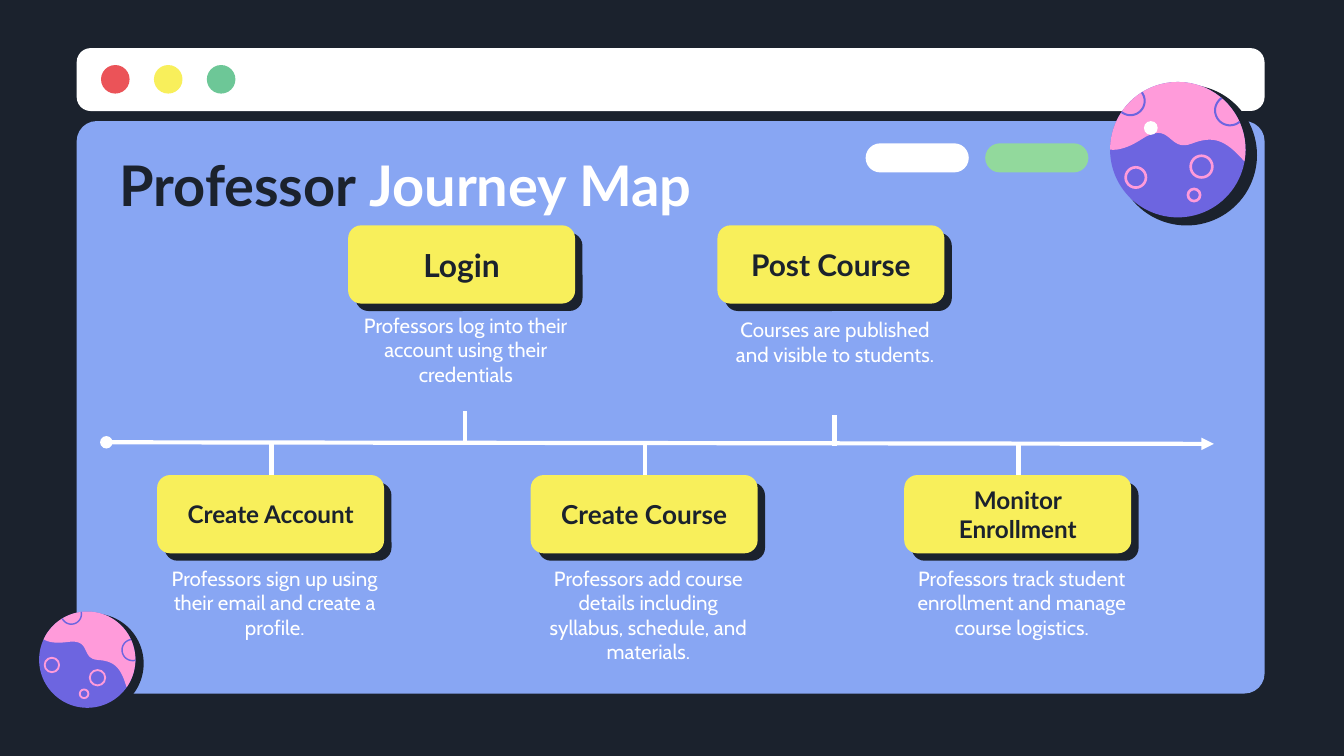
"""Build the Professor Journey Map slide: a browser window, two planets and a timeline."""
import math
from dataclasses import dataclass

from lxml import etree
from pptx import Presentation
from pptx import util as u
from pptx.dml.color import RGBColor
from pptx.enum import shapes, text
from pptx.oxml import ns
from pptx.shapes.base import BaseShape
from pptx.slide import Slide
from pptx.text.text import TextFrame

Point = tuple[float, float]
KIND = shapes.MSO_SHAPE


@dataclass(frozen=True)
class Theme:
    ink: str = "1B222D"
    white: str = "FFFFFF"
    window: str = "88A6F3"
    yellow: str = "F8EF5B"
    red: str = "EB5358"
    green: str = "6DC797"
    pill: str = "92D99C"
    violet: str = "6D65E0"
    pink: str = "FF9BDA"
    head_font: str = "Lato"
    body_font: str = "Cabin"
    title_pt: float = 30
    body_pt: float = 11
    line_pt: float = 2.25


@dataclass(frozen=True)
class Step:
    title: str
    title_pt: float
    caption: str
    left: float
    top: float
    caption_top: float
    stem: tuple[float, float, float]


@dataclass(frozen=True)
class Planet:
    x: float
    y: float
    radius: float
    tilt: float

    def place(self, p: Point) -> Point:
        c, n = math.cos(math.radians(self.tilt)), math.sin(math.radians(self.tilt))
        return (self.x + self.radius * (p[0] * c - p[1] * n),
                self.y + self.radius * (p[0] * n + p[1] * c))


T = Theme()
CARD_W, CARD_H, CARD_SHADOW = 4.29, 1.48, 0.14
CAPTION_W, CAPTION_H = 4.45, 2.11
ROW_LEFT, ROW_STEP, ROW_TOP = 2.97, 7.06, 8.98

STEPS = [
    Step("Login", 17, "Professors log into their account using their credentials",
         6.58, 4.26, 5.66, (8.79, 7.77, 8.36)),
    Step("Post Course", 16, "Courses are published and visible to students.",
         13.56, 4.26, 5.74, (15.77, 7.85, 8.43)),
] + [
    Step(title, size, caption, ROW_LEFT + i * ROW_STEP, ROW_TOP, 10.44,
         (ROW_LEFT + i * ROW_STEP + 2.16, 8.97, 8.38))
    for i, (title, size, caption) in enumerate([
        ("Create Account", 13, "Professors sign up using their email and create a profile."),
        ("Create Course", 14,
         "Professors add course details including syllabus, schedule, and materials."),
        ("Monitor Enrollment", 13,
         "Professors track student enrollment and manage course logistics."),
    ])
]

PLANETS = [Planet(22.26, 2.83, 1.28, 0), Planet(1.65, 12.47, 0.91, 25)]
RINGS = [(-0.62, 0.41, 0.15), (0.35, 0.25, 0.16), (0.24, 0.67, 0.09)]
CRATERS = [(-0.7, -0.72, 0.21), (0.77, -0.58, 0.22)]
WAVE = [
    ((0.98, 0.17), (0.7, -0.15), (0.52, -0.21), (0.21, -0.09)),
    ((0.21, -0.09), (-0.15, 0.05), (-0.09, -0.45), (-0.54, -0.15)),
    ((-0.54, -0.15), (-0.76, -0.01), (-0.9, 0.01), (-1, 0)),
]


def rgb(color: str) -> RGBColor:
    return RGBColor.from_string(color)


def paint(sp: BaseShape, fill: str | None, line: str | None = None, width: float = 1) -> None:
    sp.shadow.inherit = False
    if fill:
        sp.fill.solid()
        sp.fill.fore_color.rgb = rgb(fill)
    else:
        sp.fill.background()
    if line:
        sp.line.color.rgb = rgb(line)
        sp.line.width = u.Pt(width)
    else:
        sp.line.fill.background()


def add_box(s: Slide, kind: KIND, x: float, y: float, w: float, h: float,
            fill: str, adj: float | None = None) -> BaseShape:
    sp = s.shapes.add_shape(kind, u.Cm(x), u.Cm(y), u.Cm(w), u.Cm(h))
    paint(sp, fill)
    if adj is not None:
        sp.adjustments[0] = adj
    return sp


def add_disc(s: Slide, center: Point, r: float, fill: str | None,
             line: str | None = None, width: float = 1) -> None:
    sp = s.shapes.add_shape(KIND.OVAL, u.Cm(center[0] - r), u.Cm(center[1] - r),
                            u.Cm(2 * r), u.Cm(2 * r))
    paint(sp, fill, line, width)


def write(tf: TextFrame, runs: list[tuple[str, str]], font: str, size: float, bold: bool,
          align: text.PP_ALIGN, anchor: text.MSO_ANCHOR) -> None:
    tf.word_wrap = True
    tf.vertical_anchor = anchor
    tf.margin_left = tf.margin_right = tf.margin_top = tf.margin_bottom = u.Cm(0.25)
    p = tf.paragraphs[0]
    p.alignment = align
    p.font.name, p.font.size, p.font.bold = font, u.Pt(size), bold
    for words, color in runs:
        r = p.add_run()
        r.text = words
        r.font.color.rgb = rgb(color)


def add_text(s: Slide, x: float, y: float, w: float, h: float) -> TextFrame:
    return s.shapes.add_textbox(u.Cm(x), u.Cm(y), u.Cm(w), u.Cm(h)).text_frame


def add_line(s: Slide, start: Point, end: Point, ends: dict[str, str] | None = None) -> None:
    cx = s.shapes.add_connector(shapes.MSO_CONNECTOR.STRAIGHT,
                                *(u.Cm(v) for v in (*start, *end)))
    cx.line.color.rgb = rgb(T.white)
    cx.line.width = u.Pt(T.line_pt)
    for tag, kind in (ends or {}).items():
        etree.SubElement(cx.line._get_or_add_ln(), ns.qn(tag), type=kind)
    etree.SubElement(cx._element.spPr, ns.qn("a:effectLst"))


def arc(cx: float, cy: float, r: float, start: float, end: float, n: int = 40) -> list[Point]:
    angles = [start + (end - start) * i / n for i in range(n + 1)]
    return [(cx + r * math.cos(a), cy + r * math.sin(a)) for a in angles]


def bezier(curve: tuple[Point, ...], n: int = 16) -> list[Point]:
    return [tuple(sum(math.comb(3, k) * (1 - t) ** (3 - k) * t ** k * curve[k][axis]
                      for k in range(4)) for axis in (0, 1))
            for t in (i / n for i in range(1, n + 1))]


def add_outline(s: Slide, planet: Planet, points: list[Point], close: bool) -> BaseShape:
    first, *rest = [tuple(u.Cm(v) for v in planet.place(p)) for p in points]
    fb = s.shapes.build_freeform(*first)
    fb.add_line_segments(rest, close=close)
    return fb.convert_to_shape()


def add_planet(s: Slide, planet: Planet) -> None:
    r, width = planet.radius, 0.85 * planet.radius
    add_disc(s, (planet.x + 0.13 * r, planet.y + 0.08 * r), 1.04 * r, T.ink)
    add_disc(s, (planet.x, planet.y), r, T.violet)
    sky = arc(0, 0, 1, math.pi, math.radians(370)) + [p for c in WAVE for p in bezier(c)]
    paint(add_outline(s, planet, sky, True), T.pink)
    for x, y, size in CRATERS:
        d = math.hypot(x, y)
        inward = math.atan2(-y, -x)
        half = math.acos((d * d + size * size - 1) / (2 * d * size))
        rim = arc(x, y, size, inward - half, inward + half)
        paint(add_outline(s, planet, rim, False), None, T.violet, width)
    for x, y, size in RINGS:
        add_disc(s, planet.place((x, y)), size * r, None, T.pink, 1.3 * width)


def add_step(s: Slide, step: Step) -> None:
    for offset, color in ((CARD_SHADOW, T.ink), (0, T.yellow)):
        card = add_box(s, KIND.ROUNDED_RECTANGLE, step.left + offset, step.top + offset,
                       CARD_W, CARD_H, color, 0.167)
    write(card.text_frame, [(step.title, T.ink)], T.head_font, step.title_pt, True,
          text.PP_ALIGN.CENTER, text.MSO_ANCHOR.MIDDLE)
    write(add_text(s, step.left, step.caption_top, CAPTION_W, CAPTION_H),
          [(step.caption, T.white)], T.body_font, T.body_pt, False,
          text.PP_ALIGN.CENTER, text.MSO_ANCHOR.TOP)
    x, start, end = step.stem
    add_line(s, (x, start), (x, end))


def main() -> None:
    prs = Presentation()
    prs.slide_width, prs.slide_height = u.Cm(25.4), u.Cm(14.29)
    s = prs.slides.add_slide(prs.slide_layouts[6])
    s.background.fill.solid()
    s.background.fill.fore_color.rgb = rgb(T.ink)

    add_box(s, KIND.ROUNDED_RECTANGLE, 1.45, 2.29, 22.45, 10.82, T.window, 0.035)
    add_box(s, KIND.ROUNDED_RECTANGLE, 1.45, 0.91, 22.45, 1.19, T.white, 0.223)
    for i, color in enumerate((T.red, T.yellow, T.green)):
        add_disc(s, (2.18 + i, 1.5), 0.27, color)
    for x, color in ((16.36, T.white), (18.62, T.pill)):
        add_box(s, KIND.ROUNDED_RECTANGLE, x, 2.71, 1.95, 0.55, color, 0.5)
    for planet in PLANETS:
        add_planet(s, planet)
    add_disc(s, (21.75, 2.42), 0.13, T.white)

    write(add_text(s, 2.01, 2.69, 21.41, 1.57),
          [("Professor ", T.ink), ("Journey Map", T.white)], T.head_font, T.title_pt, True,
          text.PP_ALIGN.LEFT, text.MSO_ANCHOR.MIDDLE)
    for step in STEPS:
        add_step(s, step)
    add_line(s, (2.01, 8.36), (22.94, 8.39), {"a:headEnd": "oval", "a:tailEnd": "triangle"})
    prs.save("out.pptx")


if __name__ == "__main__":
    main()
